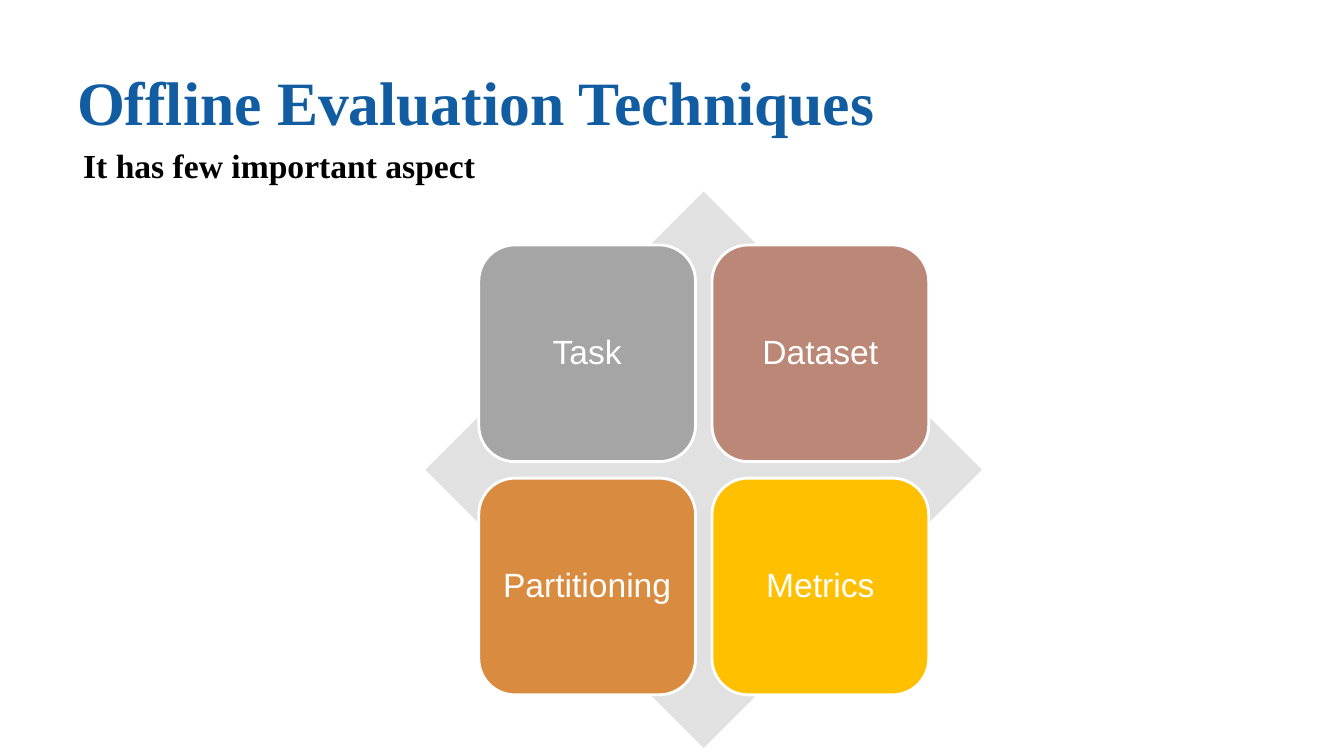
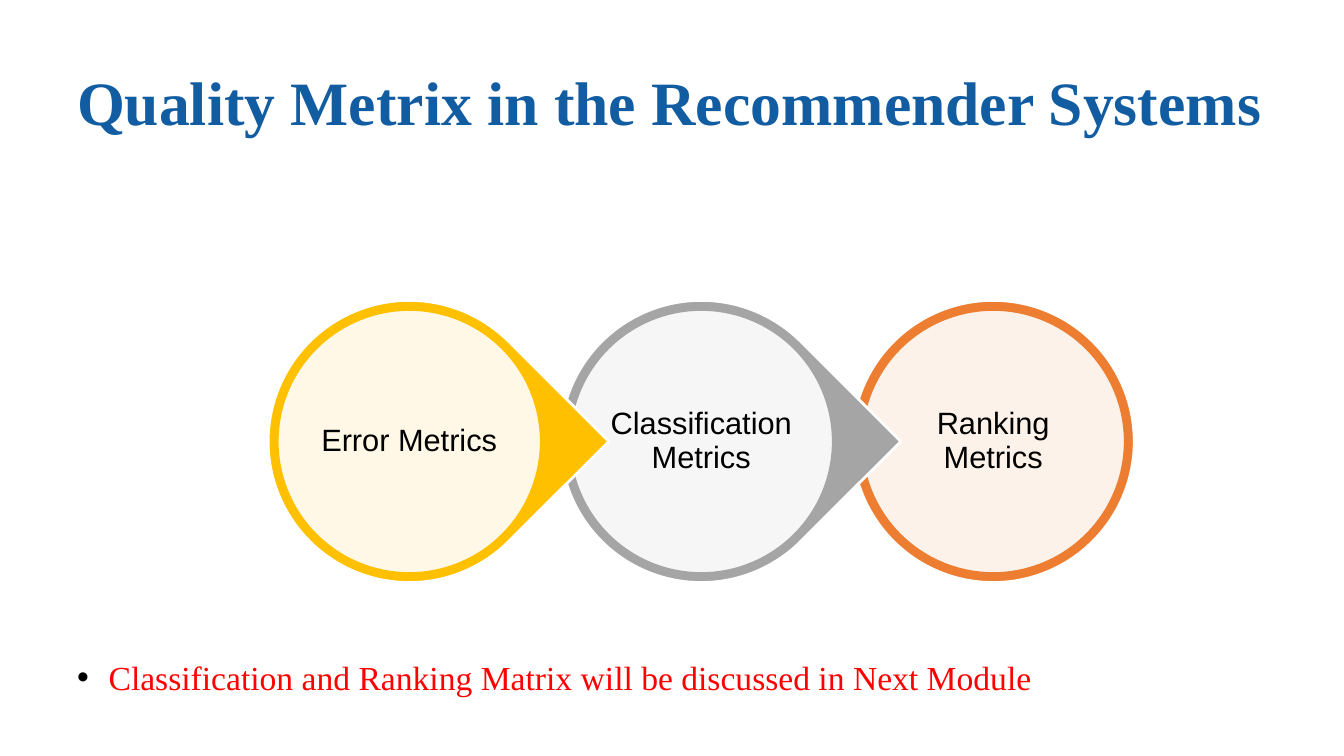
from lxml.etree import SubElement
from pptx import Presentation
from pptx.dml.color import RGBColor
from pptx.enum.shapes import MSO_SHAPE
from pptx.enum.text import MSO_ANCHOR, PP_ALIGN
from pptx.oxml.ns import qn
from pptx.util import Inches, Pt

COLUMNS, ROWS = 40, 22.5
CELL = Inches(1) / 3

SERIF, SANS = "Times New Roman", "Arial"
TITLE_BLUE, BLACK, WHITE, RED = "125DA2", "000000", "FFFFFF", "FF0000"
GREY, PALE_GREY, GOLD, ORANGE = "A5A5A5", "E1E1E1", "FFC000", "ED7D31"
CLAY, AMBER = "BB8776", "D98C3F"


def cells(n):
    return round(n * CELL)


def rgb(hex_code):
    return RGBColor.from_string(hex_code)


class Deck:
    """Shared style and the current slide; lengths are grid cells."""

    def __init__(self):
        self.prs = Presentation()
        self.prs.slide_width = cells(COLUMNS)
        self.prs.slide_height = cells(ROWS)
        self.s = None

    def new_slide(self, title):
        self.s = self.prs.slides.add_slide(self.prs.slide_layouts[6])
        self.text(title, 2, 0.84, 36, 4.59, 44, TITLE_BLUE, bold=True,
                  anchor=MSO_ANCHOR.MIDDLE)

    def set_text(self, sp, text, size, color, font, bold=False,
                 anchor=MSO_ANCHOR.TOP, align=PP_ALIGN.LEFT, spacing=0.9):
        tf = sp.text_frame
        tf.text = text
        tf.word_wrap = True
        tf.vertical_anchor = anchor
        p = tf.paragraphs[0]
        p.alignment = align
        p.line_spacing = spacing
        f = p.runs[0].font
        f.name, f.size, f.bold = font, Pt(size), bold
        f.color.rgb = rgb(color)
        return p

    def text(self, text, x, y, w, h, size, color, **style):
        sp = self.s.shapes.add_textbox(*map(cells, (x, y, w, h)))
        return self.set_text(sp, text, size, color, SERIF, **style)

    def bullet(self, text, x, y, w, h, size, color, indent):
        p = self.text(text, x, y, w, h, size, color, spacing=1.0)
        pPr = p._p.get_or_add_pPr()
        pPr.set("marL", str(cells(indent)))
        pPr.set("indent", str(-cells(indent)))
        SubElement(SubElement(pPr, qn("a:buClr")), qn("a:srgbClr"), val=BLACK)
        SubElement(pPr, qn("a:buFont"), typeface=SANS)
        SubElement(pPr, qn("a:buChar"), char="•")

    def shape(self, kind, x, y, side, fill, line=None):
        """Add a shape that is as wide as it is high."""
        sp = self.s.shapes.add_shape(kind, *map(cells, (x, y, side, side)))
        sp.shadow.inherit = False
        sp.fill.solid()
        sp.fill.fore_color.rgb = rgb(fill)
        if line:
            sp.line.color.rgb = rgb(line)
            sp.line.width = Pt(2)
        else:
            sp.line.fill.background()
        return sp

    def label(self, sp, text, size, color, inset):
        self.set_text(sp, text, size, color, SANS, anchor=MSO_ANCHOR.MIDDLE,
                      align=PP_ALIGN.CENTER)
        tf = sp.text_frame
        tf.margin_left = tf.margin_right = cells(inset)
        tf.margin_top = tf.margin_bottom = cells(inset)

    def tile(self, text, x, y, side, fill):
        sp = self.shape(MSO_SHAPE.ROUNDED_RECTANGLE, x, y, side, fill, WHITE)
        self.label(sp, text, 24, WHITE, 0.15)

    def disk(self, text, x, y, side, color, pointed):
        """Add a ring with a tinted lens; a pointed ring leads to the right."""
        kind = MSO_SHAPE.TEAR if pointed else MSO_SHAPE.OVAL
        ring = self.shape(kind, x, y, side, color, WHITE)
        ring.rotation = 45 if pointed else 0
        rim = 0.27
        lens = self.shape(MSO_SHAPE.OVAL, x + rim, y + rim, side - 2 * rim,
                          WHITE, color)
        fill_color = lens._element.spPr.find(qn("a:solidFill"))[0]
        SubElement(fill_color, qn("a:alpha"), val="90000")
        self.label(lens, text, 22, BLACK, 0)


def aspects_slide(deck):
    deck.new_slide("Offline Evaluation Techniques")
    p = deck.text("It has few important aspect", 2, 4.29, 36, 2.13, 24, BLACK,
                  bold=True)
    p._p.get_or_add_pPr().set("marL", str(cells(0.18)))

    deck.shape(MSO_SHAPE.DIAMOND, 12.66, 5.7, 16.56, PALE_GREY)
    left, top, side, pitch = 14.25, 7.29, 6.45, 6.94
    tiles = [("Task", GREY), ("Dataset", CLAY),
             ("Partitioning", AMBER), ("Metrics", GOLD)]
    for i, (text, fill) in enumerate(tiles):
        row, col = divmod(i, 2)
        deck.tile(text, left + col * pitch, top + row * pitch, side, fill)


def metrics_slide(deck):
    deck.new_slide("Quality Metrix in the Recommender Systems")
    left, top, side, pitch = 7.98, 8.94, 8.4, 8.69
    disks = [("Error Metrics", GOLD), ("Classification Metrics", GREY),
             ("Ranking Metrics", ORANGE)]
    last = len(disks) - 1
    # Right to left, so that each point lies over the next ring.
    for i in range(last, -1, -1):
        text, color = disks[i]
        deck.disk(text, left + i * pitch, top, side, color, i < last)
    deck.bullet("Classification and Ranking Matrix will be discussed in "
                "Next Module", 2, 19.41, 30.72, 1.41, 24, RED, 0.94)


def main():
    deck = Deck()
    aspects_slide(deck)
    metrics_slide(deck)
    deck.prs.save("out.pptx")


if __name__ == "__main__":
    main()
